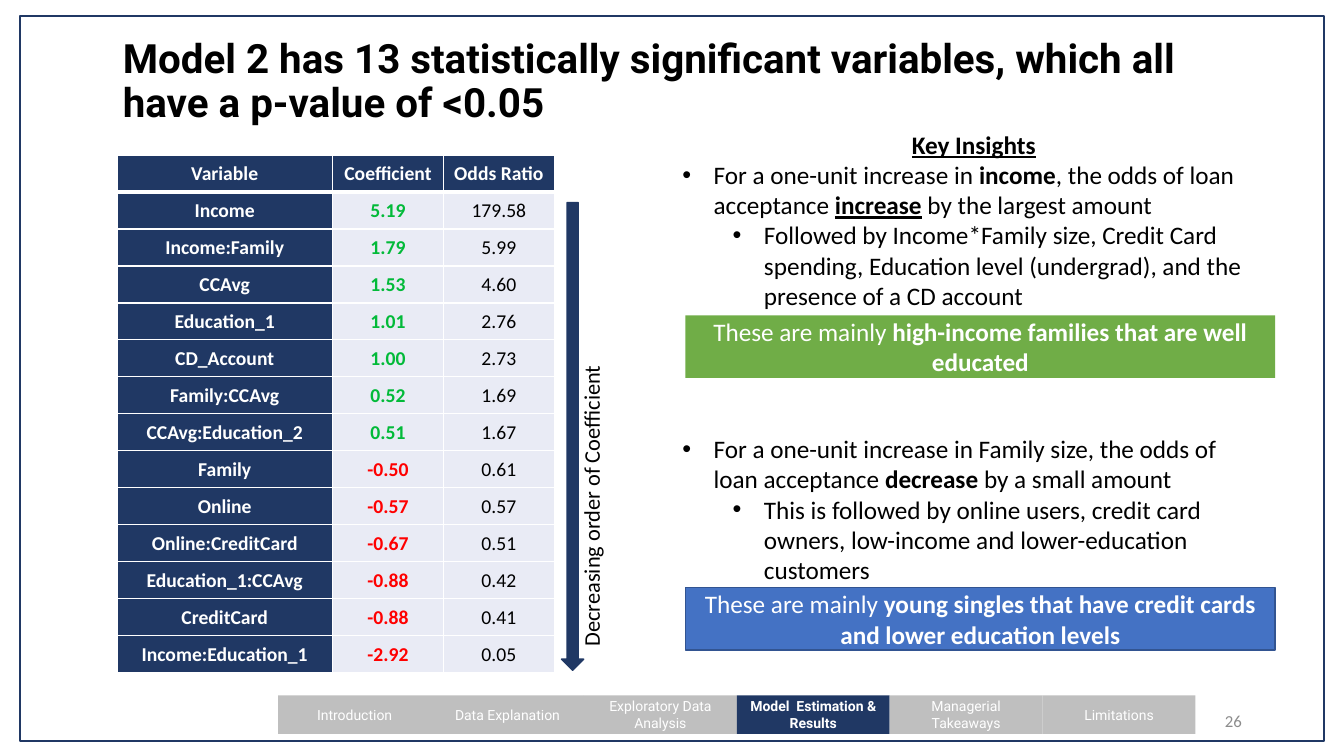
from dataclasses import dataclass

from lxml.etree import SubElement
from pptx import Presentation
from pptx.dml.color import RGBColor
from pptx.enum.shapes import MSO_SHAPE as Preset
from pptx.enum.text import MSO_ANCHOR as Anchor, PP_ALIGN as Align
from pptx.oxml.ns import qn
from pptx.util import Inches, Pt

SLIDE_W, SLIDE_H = Inches(13.333), Inches(7.5)
NAVY, GREY, WHITE, BLACK = "203864", "BFBFBF", "FFFFFF", "000000"
GREEN, RED, PALE = "02BA39", "FF0000", "E9EBF5"

STAGES = ["Introduction", "Data Explanation", "Exploratory Data Analysis",
          "Model  Estimation & Results", "Managerial Takeaways", "Limitations"]
CURRENT_STAGE = 3

HEADINGS = ("Variable", "Coefficient", "Odds Ratio")
VARIABLES = [
    ("Income", "5.19", "179.58"),
    ("Income:Family", "1.79", "5.99"),
    ("CCAvg", "1.53", "4.60"),
    ("Education_1", "1.01", "2.76"),
    ("CD_Account", "1.00", "2.73"),
    ("Family:CCAvg", "0.52", "1.69"),
    ("CCAvg:Education_2", "0.51", "1.67"),
    ("Family", "-0.50", "0.61"),
    ("Online", "-0.57", "0.57"),
    ("Online:CreditCard", "-0.67", "0.51"),
    ("Education_1:CCAvg", "-0.88", "0.42"),
    ("CreditCard", "-0.88", "0.41"),
    ("Income:Education_1", "-2.92", "0.05"),
]

BOLD = {"bold": True}
STRONG = {"bold": True, "underline": True}
INSIGHTS = [
    (0, 0, [("For a one-unit increase in ", {}), ("income", BOLD),
            (", the odds of loan acceptance ", {}), ("increase", STRONG),
            (" by the largest amount", {})]),
    (1, 0, [("Followed by Income*Family size, Credit Card spending, Education level "
             "(undergrad), and the presence of a CD account", {})]),
    (0, 88, [("For a one-unit increase in Family size, the odds of loan acceptance ", {}),
             ("decrease", BOLD), (" by a small amount", {})]),
    (1, 0, [("This is followed by online users, credit card owners, low-income and "
             "lower-education customers", {})]),
]
CALLOUTS = [
    (36.4, "70AD47", None, "high-income families that are well educated"),
    (88.12, "4472C4", "325491",
     "young singles that have credit cards and lower education levels"),
]


@dataclass
class Box:
    """A rectangle in percent of the slide's width and height."""
    left: float
    top: float
    width: float
    height: float

    def inner(self, left, top, width, height):
        """Return an inner box given in percent of this one."""
        return Box(self.left + self.width * left / 100, self.top + self.height * top / 100,
                   self.width * width / 100, self.height * height / 100)

    def emu(self):
        """Return left, top, width and height as slide lengths."""
        return (int(SLIDE_W * self.left / 100), int(SLIDE_H * self.top / 100),
                int(SLIDE_W * self.width / 100), int(SLIDE_H * self.height / 100))


def color(hex_code):
    """Turn a hex string into a colour."""
    return RGBColor.from_string(hex_code)


def write(paragraph, text, size=18, font="Calibri", fill=BLACK, bold=False,
          underline=False, align=None):
    """Append one formatted run to a paragraph."""
    run = paragraph.add_run()
    run.text = text
    run.font.size, run.font.name = Pt(size), font
    run.font.bold, run.font.underline = bold, underline
    run.font.color.rgb = color(fill)
    if align is not None:
        paragraph.alignment = align


def add_panel(slide, box, fill=None, line=None, weight=1, preset=Preset.RECTANGLE):
    """Draw a preset shape and return its text frame."""
    panel = slide.shapes.add_shape(preset, *box.emu())
    panel.shadow.inherit = False
    if fill:
        panel.fill.solid()
        panel.fill.fore_color.rgb = color(fill)
    else:
        panel.fill.background()
    if line:
        panel.line.color.rgb = color(line)
        panel.line.width = Pt(weight)
    else:
        panel.line.fill.background()
    panel.text_frame.vertical_anchor = Anchor.MIDDLE
    return panel.text_frame


def add_text(slide, box, anchor=Anchor.TOP, vert=None):
    """Add a wrapping text box and return its text frame."""
    holder = slide.shapes.add_textbox(*box.emu())
    frame = holder.text_frame
    frame.word_wrap = True
    frame.vertical_anchor = anchor
    if vert:
        holder.element.txBody.bodyPr.set("vert", vert)
    return frame


def add_title(slide, box):
    """Place the slide's headline."""
    headline = add_text(slide, box, Anchor.MIDDLE).paragraphs[0]
    headline.line_spacing = 0.9
    write(headline, "Model 2 has 13 statistically significant variables, "
          "which all have a p-value of <0.05", size=28.8, font="Roboto", bold=True)


def add_stage_bar(slide, box):
    """Place the row of stages with the current one highlighted."""
    share = 100 / len(STAGES)
    for index, stage in enumerate(STAGES):
        current = index == CURRENT_STAGE
        frame = add_panel(slide, box.inner(index * share, 0, share, 100),
                          NAVY if current else GREY)
        write(frame.paragraphs[0], stage, size=10, font="Roboto", fill=WHITE,
              bold=current, align=Align.CENTER)


def add_page_number(slide, box):
    """Place the page number."""
    number = add_text(slide, box, Anchor.MIDDLE).paragraphs[0]
    write(number, "26", size=12, fill="8C8C8C", align=Align.RIGHT)


def set_borders(cell, top, bottom):
    """Give a cell white borders with the given top and bottom widths."""
    properties = cell._tc.get_or_add_tcPr()
    for side, width in (("L", 1), ("R", 1), ("T", top), ("B", bottom)):
        edge = SubElement(properties, qn("a:ln" + side), w=str(Pt(width)))
        SubElement(SubElement(edge, qn("a:solidFill")), qn("a:srgbClr"), val=WHITE)


def add_coefficient_table(slide, box):
    """Place the table of variables, coefficients and odds ratios."""
    rows = [HEADINGS] + VARIABLES
    left, top, width, height = box.emu()
    table = slide.shapes.add_table(len(rows), len(HEADINGS), left, top, width, height).table
    for column, share in zip(table.columns, (49.3, 25.35, 25.35)):
        column.width = int(width * share / 100)
    for r, values in enumerate(rows):
        table.rows[r].height = height // len(rows)
        for c, value in enumerate(values):
            cell = table.cell(r, c)
            heading = r == 0 or c == 0
            sign = RED if value.startswith("-") else GREEN
            set_borders(cell, 3 if r == 1 else 1, 3 if r == 0 else 1)
            cell.fill.solid()
            cell.fill.fore_color.rgb = color(NAVY if heading else PALE)
            cell.vertical_anchor = Anchor.MIDDLE
            cell.margin_left = cell.margin_right = cell.margin_top = Inches(0.01)
            cell.margin_bottom = 0
            write(cell.text_frame.paragraphs[0], value, size=14, bold=heading or c == 1,
                  fill=WHITE if heading else (BLACK, sign, BLACK)[c], align=Align.CENTER)


def add_order_arrow(slide, box):
    """Place the downward arrow and its upright label."""
    add_panel(slide, box.inner(0, 0, 38, 100), NAVY, NAVY, preset=Preset.DOWN_ARROW)
    label = add_text(slide, box.inner(19, 18.1, 81, 78.9), vert="vert270")
    write(label.paragraphs[0], "Decreasing order of Coefficient", size=16)


def add_bullet(paragraph, level):
    """Give a paragraph a hanging bullet at its level."""
    paragraph.level = level
    properties = paragraph._p.get_or_add_pPr()
    properties.set("marL", str(Inches(0.31 + 0.5 * level)))
    properties.set("indent", str(-Inches(0.31)))
    SubElement(properties, qn("a:buFont"), typeface="Arial")
    SubElement(properties, qn("a:buChar"), char="•")


def add_insights(slide, box):
    """Place the key insights and the two conclusions."""
    frame = add_text(slide, box.inner(0, 0, 100, 88.9))
    write(frame.paragraphs[0], "Key Insights", align=Align.CENTER, **STRONG)
    for level, gap, runs in INSIGHTS:
        insight = frame.add_paragraph()
        insight.space_before = Pt(gap)
        add_bullet(insight, level)
        for text, style in runs:
            write(insight, text, **style)
    for top, fill, line, conclusion in CALLOUTS:
        callout = add_panel(slide, box.inner(2.17, top, 97.83, 11.88), fill, line).paragraphs[0]
        write(callout, "These are mainly ", fill=WHITE, align=Align.CENTER)
        write(callout, conclusion, fill=WHITE, bold=True)


def main():
    """Build and save the slide."""
    deck = Presentation()
    deck.slide_width, deck.slide_height = SLIDE_W, SLIDE_H
    slide = deck.slides.add_slide(deck.slide_layouts[6])
    add_panel(slide, Box(1.5, 2.13, 97, 95.87), line=NAVY, weight=1.5)
    add_stage_bar(slide, Box(20.7, 92, 68.25, 5.07))
    add_title(slide, Box(8.4, 4.27, 83.1, 13.33))
    add_page_number(slide, Box(70.65, 92.67, 22.5, 5.33))
    add_coefficient_table(slide, Box(8.7, 20.5, 32.55, 68.53))
    add_order_arrow(slide, Box(41.78, 26.8, 4.35, 61.87))
    add_insights(slide, Box(50.03, 16.4, 44.85, 69.6))
    deck.save("out.pptx")


if __name__ == "__main__":
    main()
